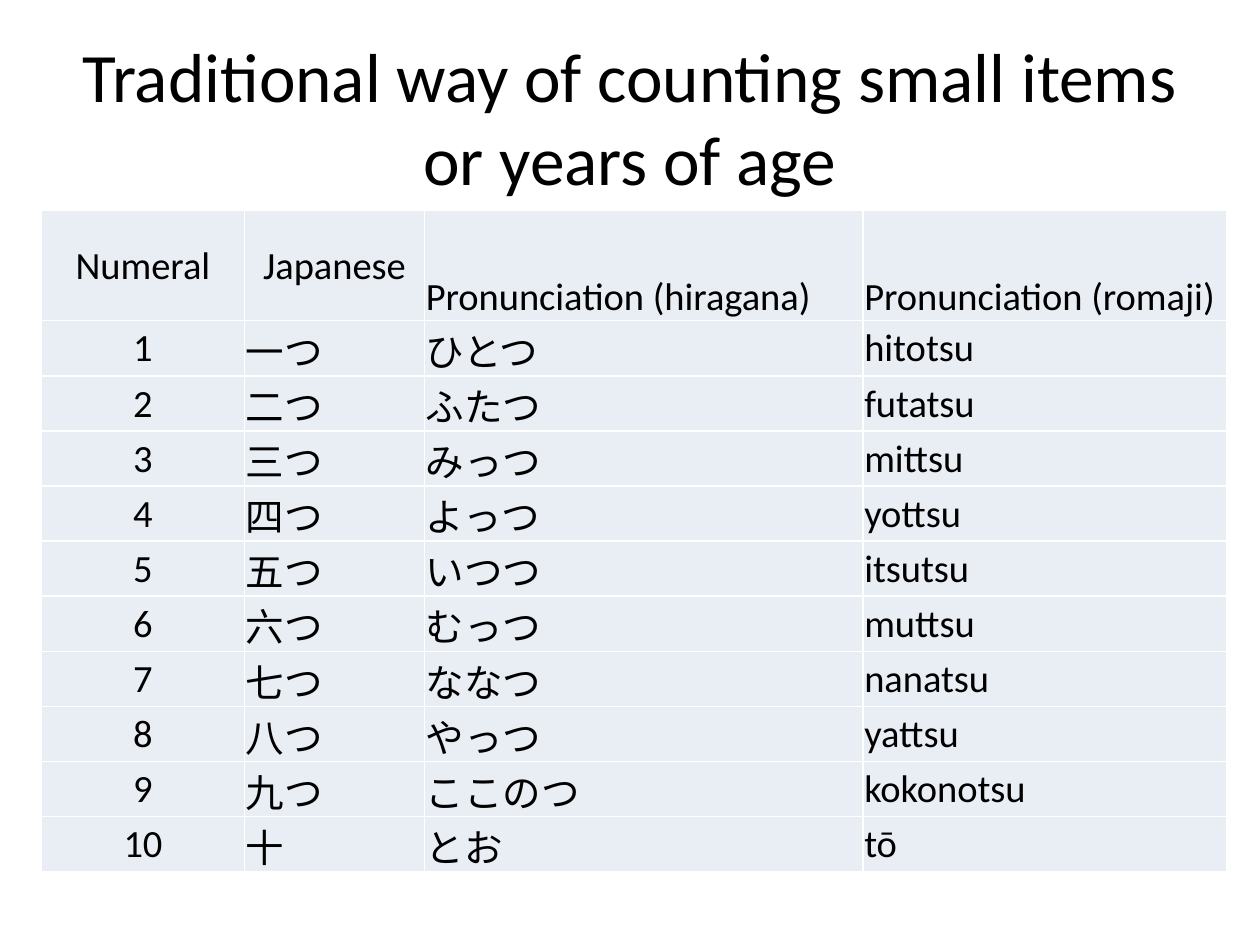
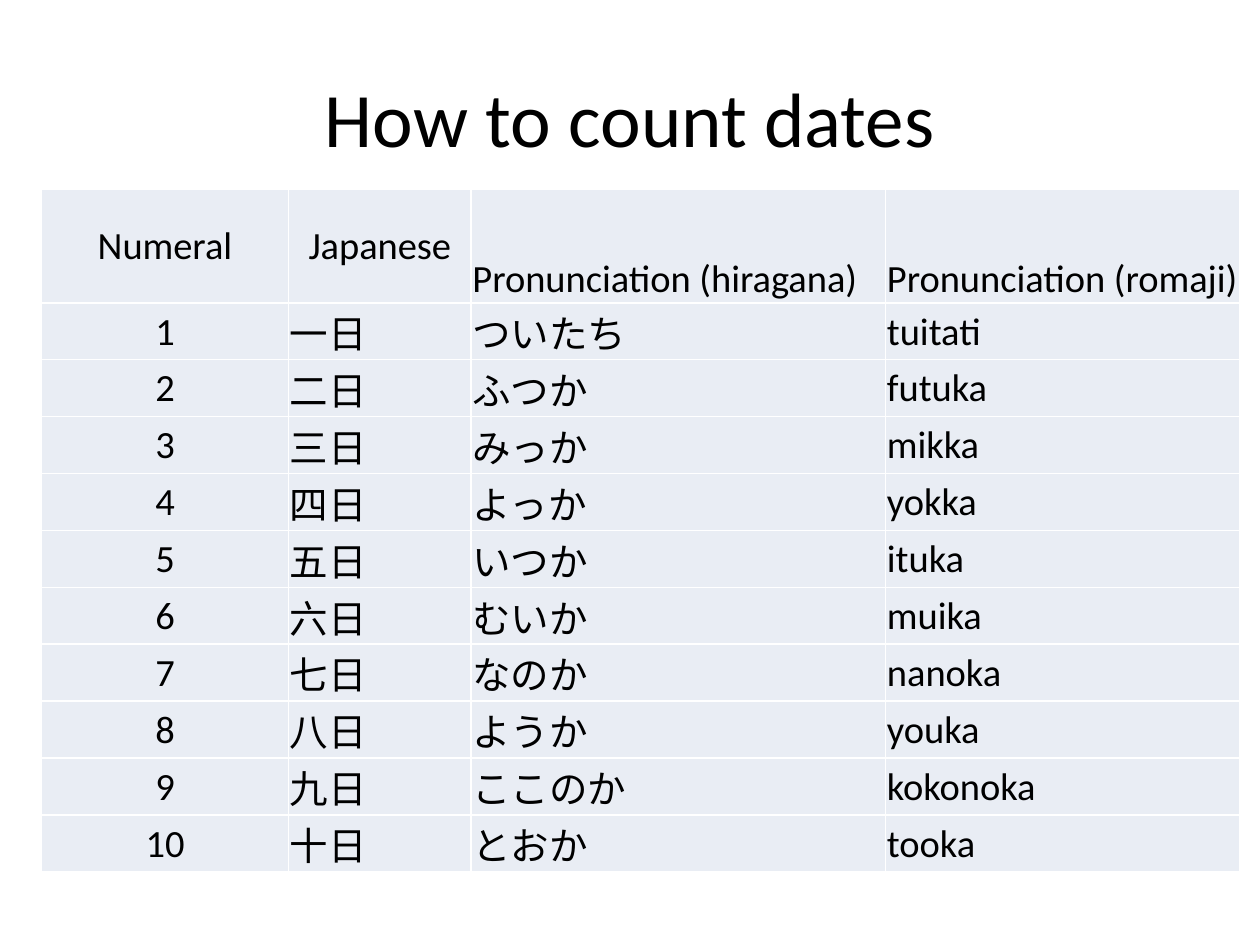
import pptx
import pptx.dml.color
import pptx.enum.text
import pptx.oxml
import pptx.oxml.ns
import pptx.util

FONT = "Calibri"
BLACK, WHITE, CELL_FILL = "000000", "FFFFFF", "E9EDF4"
WIDTH, HEIGHT = pptx.util.Inches(10), pptx.util.Inches(7.5)
CELL_INSET = pptx.util.Inches(0.01)
CELL_SIZE = 22
BORDER_PT = 1
TABLE_LEFT = 0.33
CENTER, LEFT = pptx.enum.text.PP_ALIGN.CENTER, pptx.enum.text.PP_ALIGN.LEFT
MIDDLE, BOTTOM = pptx.enum.text.MSO_ANCHOR.MIDDLE, pptx.enum.text.MSO_ANCHOR.BOTTOM

HEADER = ("Numeral", "Japanese", "Pronunciation (hiragana)", "Pronunciation (romaji)")
ITEMS = [
    ("一つ", "ひとつ", "hitotsu"),
    ("二つ", "ふたつ", "futatsu"),
    ("三つ", "みっつ", "mittsu"),
    ("四つ", "よっつ", "yottsu"),
    ("五つ", "いつつ", "itsutsu"),
    ("六つ", "むっつ", "muttsu"),
    ("七つ", "ななつ", "nanatsu"),
    ("八つ", "やっつ", "yattsu"),
    ("九つ", "ここのつ", "kokonotsu"),
    ("十", "とお", "tō"),
]
DATES = [
    ("一日", "ついたち", "tuitati"),
    ("二日", "ふつか", "futuka"),
    ("三日", "みっか", "mikka"),
    ("四日", "よっか", "yokka"),
    ("五日", "いつか", "ituka"),
    ("六日", "むいか", "muika"),
    ("七日", "なのか", "nanoka"),
    ("八日", "ようか", "youka"),
    ("九日", "ここのか", "kokonoka"),
    ("十日", "とおか", "tooka"),
]


def rgb(color):
    return pptx.dml.color.RGBColor.from_string(color)


def write(tf, text, size, align):
    p = tf.paragraphs[0]
    p.text = text
    p.alignment = align
    p.font.name = FONT
    p.font.size = pptx.util.Pt(size)
    p.font.color.rgb = rgb(BLACK)


def add_title(slide, text, size):
    sp = slide.shapes.add_textbox(
        int(WIDTH * 0.05), int(HEIGHT * 0.04), int(WIDTH * 0.9), int(HEIGHT / 6))
    tf = sp.text_frame
    tf.word_wrap = True
    tf.vertical_anchor = MIDDLE
    write(tf, text, size, CENTER)


def add_borders(cell):
    tc_pr = cell._tc.get_or_add_tcPr()
    for side in "LRTB":
        tc_pr.append(pptx.oxml.parse_xml(
            f'<a:ln{side} {pptx.oxml.ns.nsdecls("a")} w="{pptx.util.Pt(BORDER_PT)}">'
            f'<a:solidFill><a:srgbClr val="{WHITE}"/></a:solidFill></a:ln{side}>'))


def fill_cell(cell, text, align, anchor):
    cell.margin_left = cell.margin_right = cell.margin_top = CELL_INSET
    cell.margin_bottom = 0
    cell.vertical_anchor = anchor
    add_borders(cell)
    cell.fill.solid()
    cell.fill.fore_color.rgb = rgb(CELL_FILL)
    write(cell.text_frame, text, CELL_SIZE, align)


def add_counting_table(slide, top, height, widths, words):
    """Number the words from 1; the header row is twice as high as the others."""
    rows = [HEADER] + [(str(n), *row) for n, row in enumerate(words, 1)]
    table = slide.shapes.add_table(
        len(rows), len(widths), pptx.util.Inches(TABLE_LEFT), pptx.util.Inches(top),
        pptx.util.Inches(sum(widths)), pptx.util.Inches(height)).table
    table.first_row = table.horz_banding = False
    for column, width in zip(table.columns, widths):
        column.width = pptx.util.Inches(width)
    unit = height / (len(rows) + 1)
    for r, row in enumerate(rows):
        is_header = r == 0
        table.rows[r].height = pptx.util.Inches(unit * (2 if is_header else 1))
        for c, text in enumerate(row):
            centered = c == 0 or (is_header and c == 1)
            anchor = BOTTOM if is_header and c > 1 else MIDDLE
            fill_cell(table.cell(r, c), text, CENTER if centered else LEFT, anchor)


def add_counting_slide(prs, title, title_size, **table):
    slide = prs.slides.add_slide(prs.slide_layouts[6])
    add_title(slide, title, title_size)
    add_counting_table(slide, **table)


def main():
    prs = pptx.Presentation()
    prs.slide_width, prs.slide_height = WIDTH, HEIGHT
    add_counting_slide(
        prs, "Traditional way of counting small items or years of age", 39.6,
        top=1.67, height=5.25, widths=(1.61, 1.43, 3.48, 2.89), words=ITEMS)
    add_counting_slide(
        prs, "How to count dates", 44,
        top=1.5, height=5.42, widths=(1.96, 1.45, 3.29, 2.81), words=DATES)
    prs.save("out.pptx")


if __name__ == "__main__":
    main()
